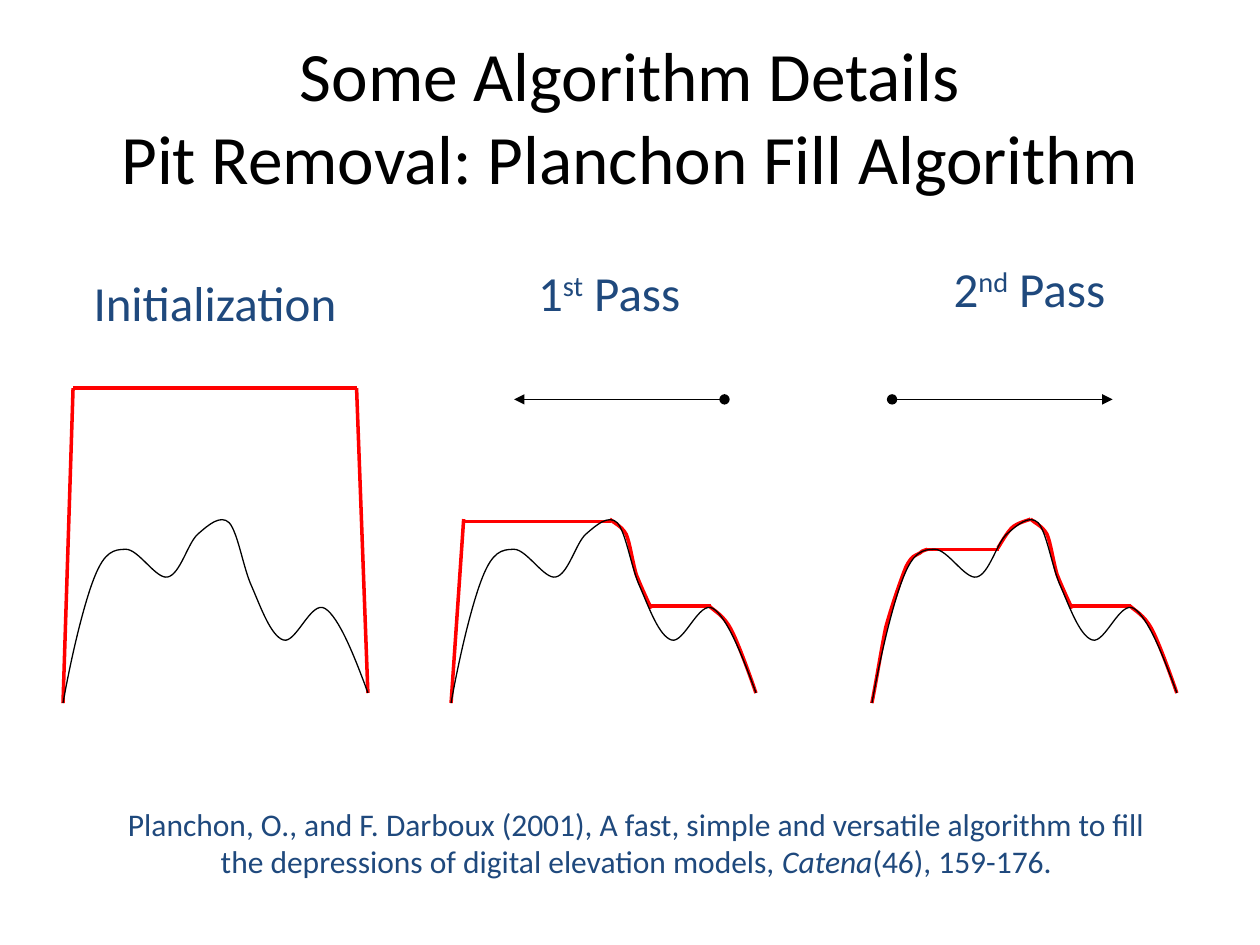
import pptx
import pptx.util
import pptx.dml.color
import pptx.enum.shapes
import pptx.enum.text
import pptx.oxml.ns
import lxml.etree

Inches, Pt, qn = pptx.util.Inches, pptx.util.Pt, pptx.oxml.ns.qn

COLORS = {"ink": "000000", "flood": "FF0000", "label": "1F497D", "back": "FFFFFF"}

BACK = (0.33, 1.42, 9.25, 4.83)
TEXTS = [
    ((0, 0.29, 10, 1.25), 39.6, "ink",
     [("Some Algorithm Details\vPit Removal: Planchon Fill Algorithm", "")]),
    ((0.58, 2.11, 2.25, 0.57), 28, "label", [("Initialization", "")]),
    ((3.42, 2.03, 2.83, 0.57), 28, "label", [("1", ""), ("st", "super"), (" Pass", "")]),
    ((6.92, 2, 2.5, 0.57), 28, "label", [("2", ""), ("nd", "super"), (" Pass", "")]),
    ((0.74, 6.33, 8.62, 0.71), 18, "label",
     [("Planchon, O., and F. Darboux (2001), A fast, simple and versatile algorithm to fill "
       "the depressions of digital elevation models, ", ""),
      ("Catena", "italic"), ("(46), 159-176.", "")]),
]

TERRAIN = [
    (0, 5.58), (0.07, 5.19), (0.17, 4.78), (0.25, 4.58),
    (0.33, 4.38), (0.4, 4.36), (0.5, 4.36),
    (0.6, 4.36), (0.74, 4.6), (0.83, 4.58),
    (0.93, 4.56), (0.99, 4.31), (1.07, 4.24),
    (1.15, 4.17), (1.25, 4.08), (1.32, 4.15),
    (1.39, 4.23), (1.43, 4.51), (1.5, 4.66),
    (1.57, 4.82), (1.65, 5.05), (1.75, 5.08),
    (1.85, 5.11), (1.97, 4.76), (2.08, 4.83),
    (2.19, 4.9), (2.31, 5.2), (2.42, 5.5),
]
FALL = [
    (2.42, 5.5), (2.39, 5.41), (2.28, 5.1), (2.22, 4.99),
    (2.16, 4.88), (2.09, 4.85), (2.05, 4.81),
]
DROP = [
    (1.59, 4.83), (1.57, 4.79), (1.51, 4.66), (1.47, 4.56),
    (1.44, 4.46), (1.42, 4.31), (1.39, 4.24),
    (1.35, 4.17), (1.29, 4.15), (1.26, 4.12),
]
RISE = [
    (1.26, 4.12), (1.24, 4.13), (1.15, 4.15), (1.11, 4.19),
    (1.07, 4.23), (1.02, 4.32), (1, 4.35),
]
CLIMB = [
    (0, 5.58), (0.04, 5.38), (0.07, 5.18), (0.11, 4.98),
    (0.16, 4.8), (0.23, 4.6), (0.27, 4.5),
    (0.32, 4.4), (0.35, 4.41), (0.38, 4.39),
    (0.41, 4.36), (0.43, 4.37), (0.44, 4.36),
]
STEP = ((2.06, 4.81), (1.58, 4.81))

PANELS = [
    {"left": 0.5, "curves": [],
     "lines": [((2.42, 5.5), (2.33, 3.08)), ((2.33, 3.08), (0.08, 3.08)),
               ((0, 5.58), (0.08, 3.08))]},
    {"left": 3.58, "curves": [FALL, DROP],
     "lines": [STEP, ((1.27, 4.14), (0.09, 4.14)), ((0, 5.58), (0.1, 4.12))]},
    {"left": 6.92, "curves": [FALL, DROP, RISE, CLIMB],
     "lines": [STEP, ((0.42, 4.36), (1.01, 4.36))]},
]
ARROWS = [((5.75, 3.17), (4.08, 3.17)), ((7.08, 3.17), (8.83, 3.17))]


def paint(color):
    return pptx.dml.color.RGBColor.from_string(COLORS[color])


def stroke(shape, color, width):
    shape.line.color.rgb = paint(color)
    shape.line.width = Pt(width)


def back(slide):
    shape = slide.shapes.add_shape(
        pptx.enum.shapes.MSO_SHAPE.RECTANGLE, *map(Inches, BACK))
    shape.shadow.inherit = False
    shape.line.fill.background()
    shape.fill.solid()
    shape.fill.fore_color.rgb = paint("back")
    tint = shape._element.spPr.find(".//" + qn("a:srgbClr"))
    lxml.etree.SubElement(tint, qn("a:alpha"), val="90000")


def write(slide, box, size, color, runs):
    frame = slide.shapes.add_textbox(*map(Inches, box)).text_frame
    frame.word_wrap = True
    frame.vertical_anchor = pptx.enum.text.MSO_ANCHOR.MIDDLE
    para = frame.paragraphs[0]
    para.alignment = pptx.enum.text.PP_ALIGN.CENTER
    para.font.name, para.font.size = "Calibri", Pt(size)
    para.font.color.rgb = paint(color)
    for text, style in runs:
        for i, part in enumerate(text.split("\v")):
            if i:
                para.add_line_break()
            run = para.add_run()
            run.text = part
            if style == "italic":
                run.font.italic = True
            elif style == "super":
                run.font._element.set("baseline", "30000")


def bend(shape):
    legs = list(shape._element.iter(qn("a:lnTo")))
    for i in range(0, len(legs), 3):
        cubic = lxml.etree.Element(qn("a:cubicBezTo"))
        legs[i].addprevious(cubic)
        for leg in legs[i:i + 3]:
            cubic.append(leg[0])
            leg.getparent().remove(leg)


def curve(slide, left, knots, color, width):
    points = [(Inches(left + x), Inches(y)) for x, y in knots]
    pen = slide.shapes.build_freeform(*points[0])
    pen.add_line_segments(points[1:], close=False)
    shape = pen.convert_to_shape()
    bend(shape)
    shape.shadow.inherit = False
    shape.fill.background()
    stroke(shape, color, width)


def line(slide, left, start, end, color, width):
    (x1, y1), (x2, y2) = start, end
    link = slide.shapes.add_connector(
        pptx.enum.shapes.MSO_CONNECTOR.STRAIGHT,
        Inches(left + x1), Inches(y1), Inches(left + x2), Inches(y2))
    stroke(link, color, width)
    lxml.etree.SubElement(link._element.spPr, qn("a:effectLst"))
    return link


def arrow(slide, start, end):
    link = line(slide, 0, start, end, "ink", 0.75)
    edge = link.line._get_or_add_ln()
    for tag, kind in (("a:headEnd", "oval"), ("a:tailEnd", "triangle")):
        lxml.etree.SubElement(edge, qn(tag), type=kind)


def main():
    deck = pptx.Presentation()
    deck.slide_width, deck.slide_height = Inches(10), Inches(7.5)
    slide = deck.slides.add_slide(deck.slide_layouts[6])
    back(slide)
    for text in TEXTS:
        write(slide, *text)
    for panel in PANELS:
        for knots in panel["curves"]:
            curve(slide, panel["left"], knots, "flood", 2)
        for start, end in panel["lines"]:
            line(slide, panel["left"], start, end, "flood", 2)
        curve(slide, panel["left"], TERRAIN, "ink", 0.75)
    for start, end in ARROWS:
        arrow(slide, start, end)
    deck.save("out.pptx")


if __name__ == "__main__":
    main()
